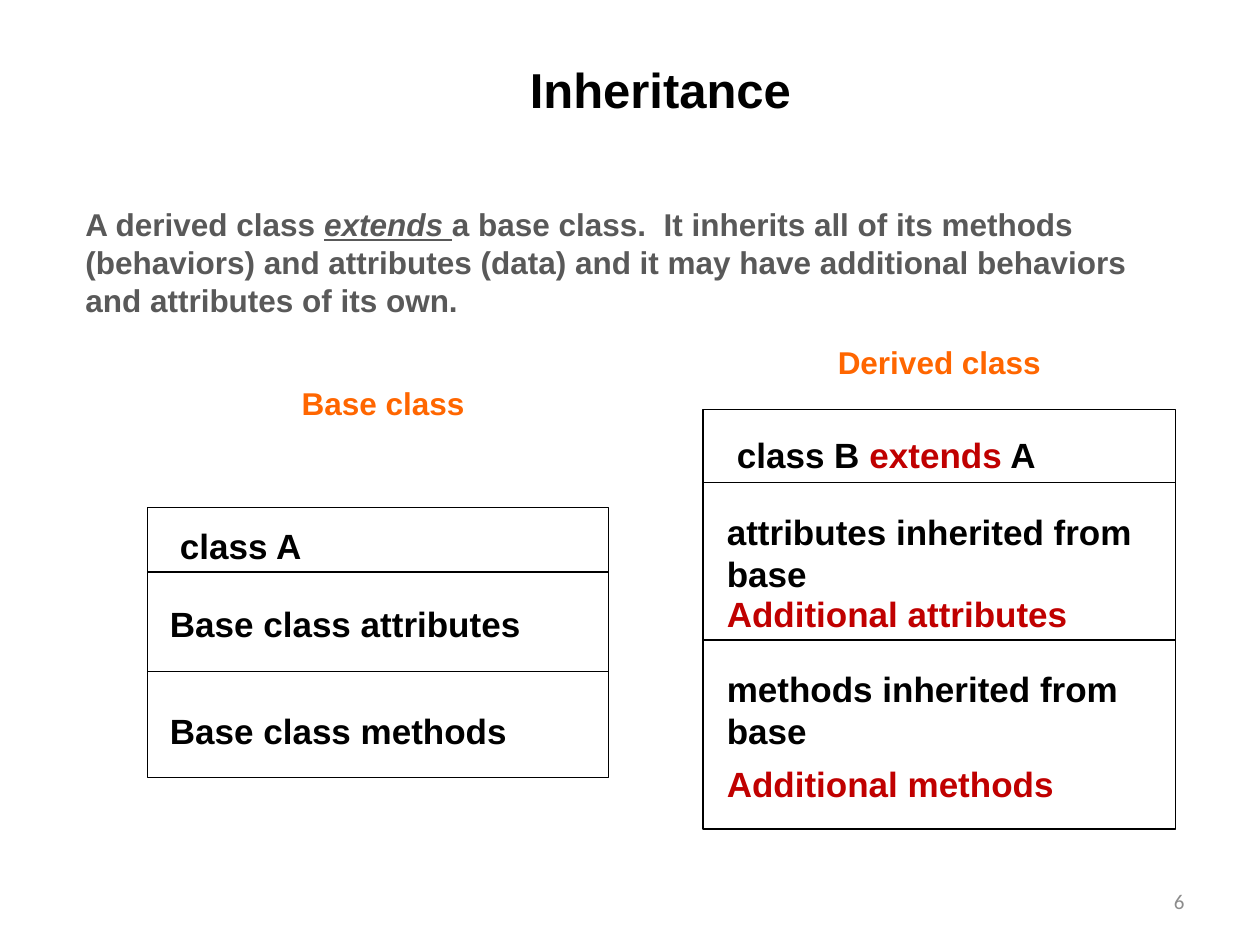
from dataclasses import dataclass
from typing import NamedTuple

from lxml.etree import SubElement
from pptx import Presentation
from pptx.dml.color import RGBColor
from pptx.enum.shapes import MSO_CONNECTOR as Conn, MSO_SHAPE as Shape
from pptx.enum.text import MSO_ANCHOR as Anchor, MSO_AUTO_SIZE as Fit, PP_ALIGN as Align
from pptx.oxml.ns import qn
from pptx.util import Inches, Pt


@dataclass(frozen=True)
class Theme:
    font: str = "Arial"
    num_font: str = "Calibri"
    ink: str = "000000"
    paper: str = "FFFFFF"
    gray: str = "595959"
    pale: str = "8C8C8C"
    red: str = "C00000"
    orange: str = "FF6600"
    title: float = 28
    body: float = 18
    code: float = 20
    num: float = 12
    line: float = 0.75


THEME = Theme()


class Box(NamedTuple):
    left: float
    top: float
    width: float
    height: float


class Run(NamedTuple):
    text: str
    color: str | None = None
    accent: bool = False  # italic and underlined


class Item(NamedTuple):
    box: Box
    text: str
    color: str = THEME.ink


class Card(NamedTuple):
    """A class diagram: its label, frame, divider heights, heading and members."""
    label: Item
    frame: Box
    cuts: tuple[float, ...]
    name_box: Box
    name: tuple[Run, ...]
    items: tuple[Item, ...]


CARDS = (
    Card(
        label=Item(Box(1.58, 3, 2.92, 0.4), "Base class", THEME.orange),
        frame=Box(1.17, 4.03, 3.66, 2.14),
        cuts=(4.54, 5.33),
        name_box=Box(1.33, 4.11, 1.91, 0.43),
        name=(Run("class A"),),
        items=(
            Item(Box(1.25, 4.73, 3.58, 0.44), "Base class attributes"),
            Item(Box(1.25, 5.58, 3.08, 0.44), "Base class methods"),
        ),
    ),
    Card(
        label=Item(Box(5.83, 2.67, 3.25, 0.4), "Derived class", THEME.orange),
        frame=Box(5.58, 3.25, 3.75, 3.33),
        cuts=(3.83, 5.08),
        name_box=Box(5.75, 3.39, 2.58, 0.44),
        name=(Run("class B "), Run("extends", THEME.red), Run(" A")),
        items=(
            Item(Box(5.67, 4, 4.08, 0.77), "attributes inherited from base"),
            Item(Box(5.67, 4.65, 3.67, 0.44), "Additional attributes", THEME.red),
            Item(Box(5.67, 5.25, 3.67, 0.77), "methods inherited from base"),
            Item(Box(5.67, 6, 3.5, 0.44), "Additional methods", THEME.red),
        ),
    ),
)


def rgb(color: str) -> RGBColor:
    return RGBColor.from_string(color)


def place(box: Box) -> list[int]:
    return [Inches(v) for v in box]


def write(shapes, box: Box, *runs: Run, size: float = THEME.code,
          color: str = THEME.ink, font: str = THEME.font, bold: bool = True,
          align: Align = Align.LEFT, anchor: Anchor = Anchor.TOP,
          fit: Fit = Fit.SHAPE_TO_FIT_TEXT) -> None:
    frame = shapes.add_textbox(*place(box)).text_frame
    frame.word_wrap = True
    frame.auto_size = fit
    frame.vertical_anchor = anchor
    para = frame.paragraphs[0]
    para.alignment = align
    for part in runs:
        run = para.add_run()
        run.text = part.text
        face = run.font
        face.name, face.size, face.bold = font, Pt(size), bold
        face.color.rgb = rgb(part.color or color)
        if part.accent:
            face.italic = face.underline = True


def draw_frame(shapes, box: Box) -> None:
    rect = shapes.add_shape(Shape.RECTANGLE, *place(box))
    rect.shadow.inherit = False
    rect.fill.solid()
    rect.fill.fore_color.rgb = rgb(THEME.paper)
    rect.line.color.rgb = rgb(THEME.ink)
    rect.line.width = Pt(THEME.line)


def draw_cut(shapes, box: Box, top: float) -> None:
    """Divide the frame with a line across its full width."""
    y = Inches(top)
    line = shapes.add_connector(
        Conn.STRAIGHT, Inches(box.left), y, Inches(box.left + box.width), y)
    line.line.color.rgb = rgb(THEME.ink)
    line.line.width = Pt(THEME.line)
    SubElement(line._element.spPr, qn("a:effectLst"))


def draw_card(shapes, card: Card) -> None:
    group = shapes.add_group_shape().shapes
    draw_frame(group, card.frame)
    for top in card.cuts:
        draw_cut(group, card.frame, top)
    write(group, card.name_box, *card.name)
    write(shapes, card.label.box, Run(card.label.text), size=THEME.body,
          color=card.label.color, align=Align.CENTER)
    for item in card.items:
        write(shapes, item.box, Run(item.text), color=item.color)


def main() -> None:
    deck = Presentation()
    deck.slide_width, deck.slide_height = Inches(10), Inches(7.5)
    shapes = deck.slides.add_slide(deck.slide_layouts[6]).shapes
    write(shapes, Box(1.67, 0.42, 7.25, 0.57), Run("Inheritance "),
          size=THEME.title, align=Align.CENTER)
    write(shapes, Box(0.58, 1.58, 8.83, 1),
          Run("A derived class "),
          Run("extends ", accent=True),
          Run("a base class.  It inherits all of its methods (behaviors) and "
              "attributes (data) and it may have additional behaviors and "
              "attributes of its own."),
          size=THEME.body, color=THEME.gray)
    for card in CARDS:
        draw_card(shapes, card)
    write(shapes, Box(7.17, 6.95, 2.33, 0.4), Run("6"), size=THEME.num,
          color=THEME.pale, font=THEME.num_font, bold=False,
          align=Align.RIGHT, anchor=Anchor.MIDDLE, fit=Fit.NONE)
    deck.save("out.pptx")


if __name__ == "__main__":
    main()
